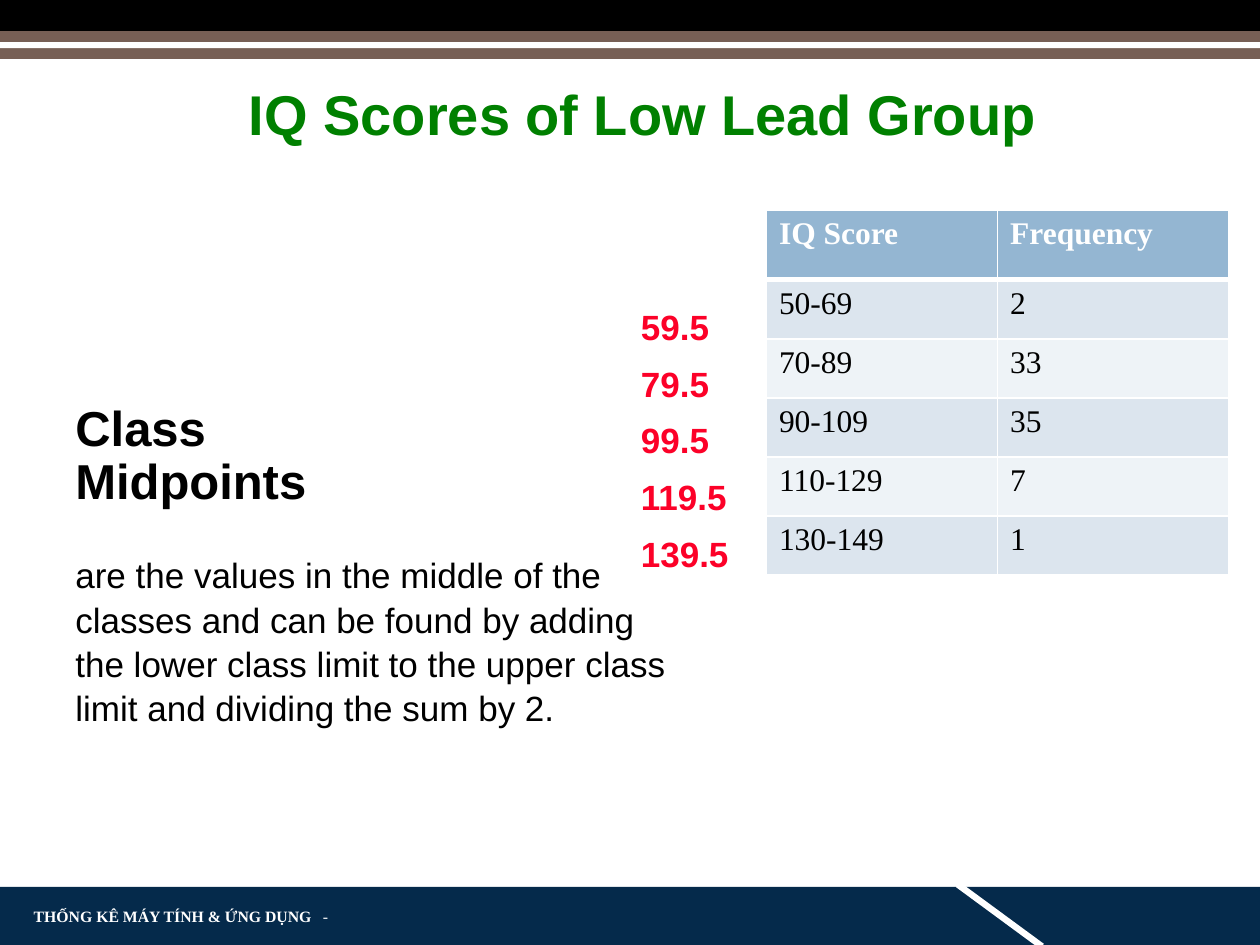
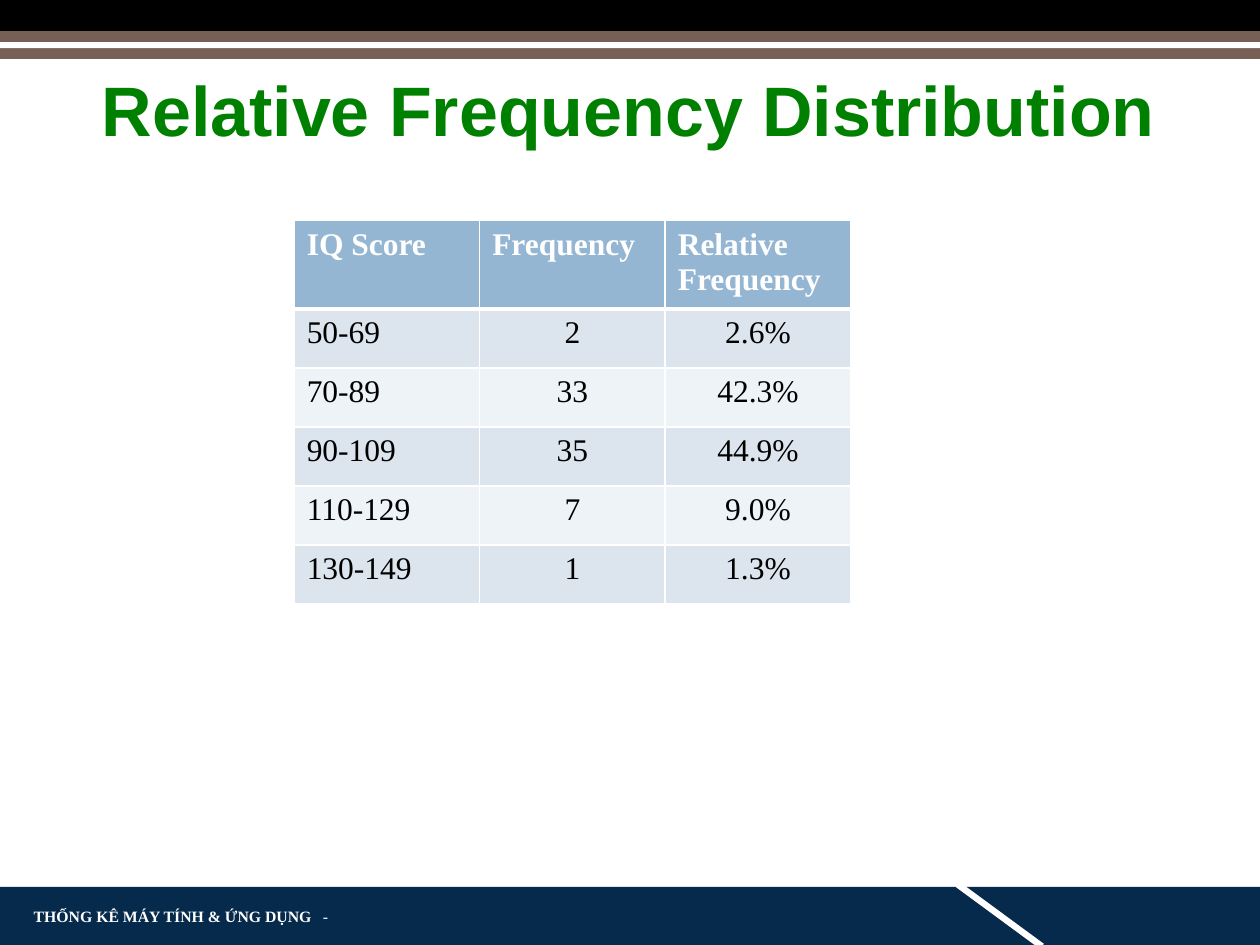
from pptx import Presentation
from pptx.dml.color import RGBColor as RGB
from pptx.enum.shapes import MSO_SHAPE as Form
from pptx.enum.text import MSO_ANCHOR as Anchor, PP_ALIGN as Align
from pptx.oxml.ns import qn
from pptx.util import Cm, Pt
from lxml.etree import SubElement as Sub

NAVY = RGB(0x05, 0x2A, 0x4B)
BROWN = RGB(0x77, 0x5F, 0x55)
BLACK = RGB(0, 0, 0)
WHITE = RGB(255, 255, 255)
GREEN = RGB(0, 0x80, 0)
RED = RGB(0xFC, 0x01, 0x28)
HEAD = RGB(0x94, 0xB6, 0xD2)
BANDS = RGB(0xDC, 0xE5, 0xEE), RGB(0xEE, 0xF3, 0xF7)
SANS = "Arial"
SERIF = "Times New Roman"
WIDTH = 25.4
HEIGHT = 19.05


def write(frame, text, size=20, font=SANS, color=BLACK, bold=False,
          align=Align.LEFT, gap=None, tail="", tab=None):
    for i, line in enumerate(text.split("\n")):
        para = frame.add_paragraph() if i else frame.paragraphs[0]
        para.alignment = align
        para.line_spacing = gap
        if tab:
            stops = Sub(para._p.get_or_add_pPr(), qn("a:tabLst"))
            Sub(stops, qn("a:tab"), pos=str(Cm(tab)), algn="l")
        for words, heavy in ((line, bold), (tail, False)):
            if words:
                run = para.add_run()
                run.text = words
                run.font.size = Pt(size)
                run.font.name = font
                run.font.color.rgb = color
                run.font.bold = heavy


class Deck:
    def __init__(self):
        self.show = Presentation()
        self.show.slide_width = Cm(WIDTH)
        self.show.slide_height = Cm(HEIGHT)
        self.slide = None

    def page(self):
        self.slide = self.show.slides.add_slide(self.show.slide_layouts[6])
        self.bar(0, 17.88, WIDTH, 1.17, NAVY)
        self.bar(19.1, 18.39, 2.11, 0.13, WHITE, turn=36.3)
        self.text(0.43, 18.21, 6.55, 0.51, "THỐNG KÊ MÁY TÍNH & ỨNG DỤNG",
                  anchor=Anchor.MIDDLE, size=9, font=SERIF, color=WHITE,
                  bold=True, tail="\t-", tab=5.83)
        self.bar(0, 0, WIDTH, 0.63, BLACK)
        self.bar(0, 0.63, WIDTH, 0.56, BROWN)
        self.bar(0, 0.85, WIDTH, 0.12, WHITE)

    def bar(self, x, y, w, h, color, turn=0):
        shape = self.slide.shapes.add_shape(
            Form.RECTANGLE, Cm(x), Cm(y), Cm(w), Cm(h))
        shape.shadow.inherit = False
        shape.fill.solid()
        shape.fill.fore_color.rgb = color
        shape.line.fill.background()
        shape.rotation = turn

    def text(self, x, y, w, h, words, anchor=Anchor.TOP, wrap=True, **form):
        box = self.slide.shapes.add_textbox(Cm(x), Cm(y), Cm(w), Cm(h))
        frame = box.text_frame
        frame.word_wrap = wrap
        frame.vertical_anchor = anchor
        write(frame, words, **form)

    def title(self, x, y, w, h, words, **form):
        self.text(x, y, w, h, words, color=GREEN, bold=True, gap=0.9, **form)

    def edge(self, cell, row):
        props = cell._tc.get_or_add_tcPr()
        thick = {0: "lnB", 1: "lnT"}.get(row)
        for side in ("lnL", "lnR", "lnT", "lnB"):
            wide = Pt(3 if side == thick else 1)
            line = Sub(props, qn("a:" + side), w=str(wide))
            fill = Sub(line, qn("a:solidFill"))
            Sub(fill, qn("a:srgbClr"), val=str(WHITE))

    def table(self, x, y, wide, top, rows, align=Align.LEFT):
        tall = 1.19
        count = len(rows[0])
        grid = self.slide.shapes.add_table(
            len(rows), count, Cm(x), Cm(y), Cm(wide * count),
            Cm(top + tall * (len(rows) - 1))).table
        for col in grid.columns:
            col.width = Cm(wide)
        for r, row in enumerate(rows):
            grid.rows[r].height = Cm(tall if r else top)
            for c, words in enumerate(row):
                cell = grid.cell(r, c)
                self.edge(cell, r)
                cell.fill.solid()
                cell.fill.fore_color.rgb = BANDS[(r - 1) % 2] if r else HEAD
                write(cell.text_frame, words, size=18, font=SERIF,
                      color=BLACK if r else WHITE, bold=not r,
                      align=align if r and c else Align.LEFT)


SCORES = [("IQ Score", "Frequency"), ("50-69", "2"), ("70-89", "33"),
          ("90-109", "35"), ("110-129", "7"), ("130-149", "1")]
SHARES = ["Relative Frequency", "2.6%", "42.3%", "44.9%", "9.0%", "1.3%"]

deck = Deck()

deck.page()
deck.table(15.45, 4.24, 4.66, 1.4, SCORES)
deck.title(1.02, 0.58, 23.88, 3.56, "IQ Scores of Low Lead Group",
           size=32, align=Align.CENTER, anchor=Anchor.MIDDLE)
deck.text(1.27, 8.03, 5.23, 2.41, "Class\nMidpoints",
          wrap=False, size=28, bold=True, gap=0.9)
deck.text(1.27, 11, 12.7, 3.84,
          "are the values in the middle of the classes and can be found by "
          "adding the lower class limit to the upper class limit and "
          "dividing the sum by 2.", gap=1.05)
deck.text(12.67, 5.74, 3.2, 7.19, "59.5\n79.5\n99.5\n119.5\n139.5",
          color=RED, bold=True, gap=1.35)

deck.page()
deck.title(1.8, 1.4, 21.74, 1.78, "Relative Frequency Distribution",
           size=40, wrap=False)
deck.table(5.93, 4.45, 3.74, 1.78,
           [(*row, share) for row, share in zip(SCORES, SHARES)],
           align=Align.CENTER)

deck.show.save("out.pptx")
